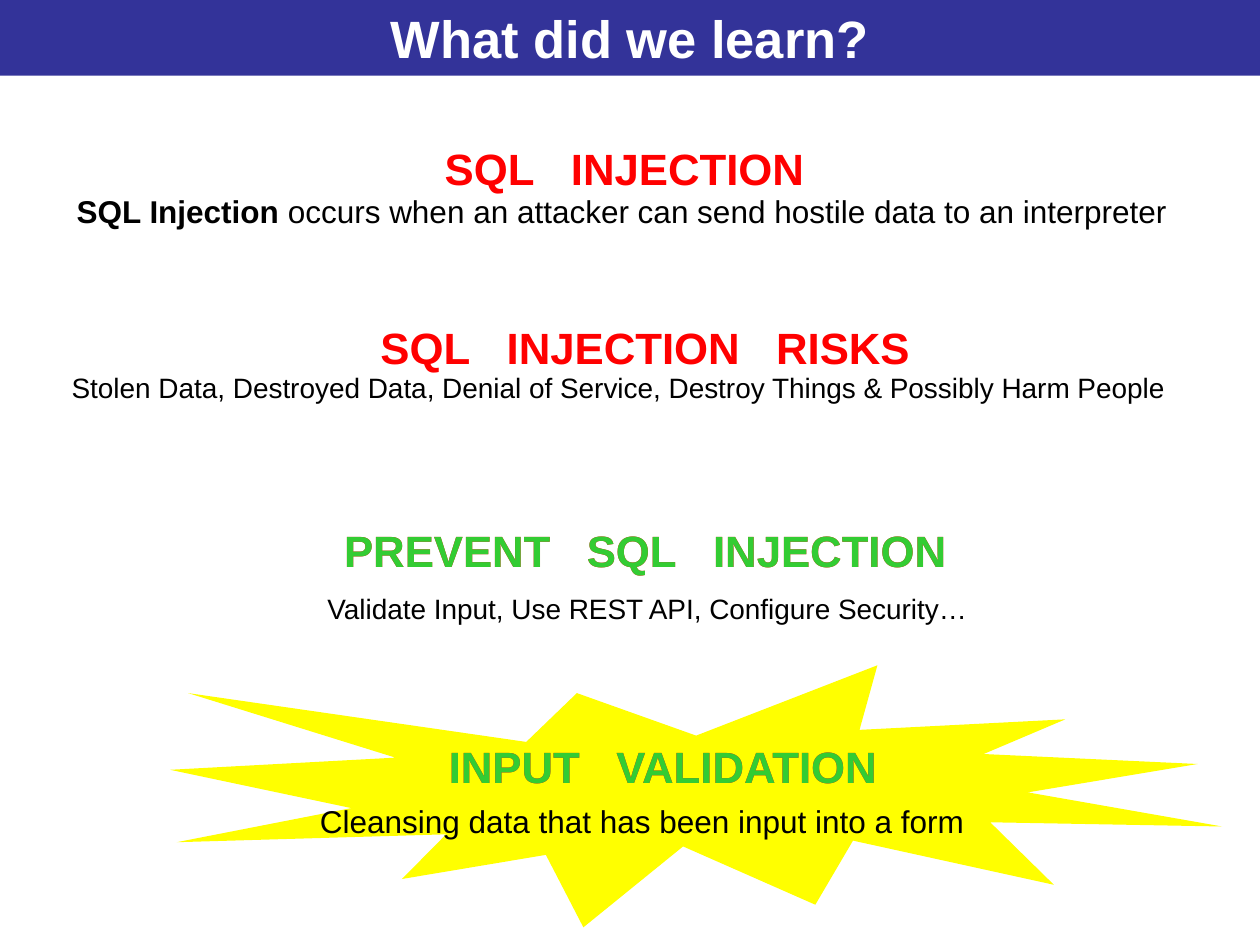
from pptx import Presentation
from pptx.dml.color import RGBColor
from pptx.enum.shapes import MSO_SHAPE
from pptx.enum.text import MSO_ANCHOR, MSO_AUTO_SIZE, PP_ALIGN
from pptx.util import Inches, Pt

BLACK = RGBColor(0x00, 0x00, 0x00)
WHITE = RGBColor(0xFF, 0xFF, 0xFF)
RED = RGBColor(0xFF, 0x00, 0x00)
GREEN = RGBColor(0x33, 0xCC, 0x33)
YELLOW = RGBColor(0xFF, 0xFF, 0x00)
NAVY = RGBColor(0x33, 0x33, 0x99)

HEADING_SIZE = 25
WORD_GAP = "1390"

deck = Presentation()
deck.slide_width = Inches(10)
deck.slide_height = Inches(7.5)
COLUMN = deck.slide_width / 100
ROW = deck.slide_height / 75
page = deck.slides.add_slide(deck.slide_layouts[6])


def place(left, top, width, height):
    return int(left * COLUMN), int(top * ROW), int(width * COLUMN), int(height * ROW)


def style(para, size, color, bold, align):
    para.alignment = align
    para.font.name = "Arial"
    para.font.size = Pt(size)
    para.font.bold = bold
    para.font.color.rgb = color


burst = page.shapes.add_shape(MSO_SHAPE.EXPLOSION1, *place(13.5, 52.8, 83.5, 20.8))
banner = page.shapes.add_shape(MSO_SHAPE.RECTANGLE, *place(0, 0, 100, 6))
for shape, color in ((burst, YELLOW), (banner, NAVY)):
    shape.shadow.inherit = False
    shape.fill.solid()
    shape.fill.fore_color.rgb = color
    shape.line.fill.background()

banner.text_frame.vertical_anchor = MSO_ANCHOR.TOP
title = banner.text_frame.paragraphs[0]
title.text = "What did we learn?"
style(title, 30, WHITE, True, PP_ALIGN.CENTER)

details = [
    (5.1, 14.75, 88.5, 18, "SQL Injection", " occurs when an attacker can send hostile data to an interpreter"),
    (4.7, 28.9, 88.8, 16, "", "Stolen Data, Destroyed Data, Denial of Service, Destroy Things & Possibly Harm People"),
    (25, 46.45, 53.1, 16, "", "Validate Input, Use REST API, Configure Security…"),
    (24.4, 63.15, 53.6, 18, "", "Cleansing data that has been input into a form"),
]
for left, top, width, size, term, words in details:
    box = page.shapes.add_textbox(*place(left, top, width, 4 if size == 18 else 3.7))
    box.text_frame.word_wrap = False
    box.text_frame.auto_size = MSO_AUTO_SIZE.SHAPE_TO_FIT_TEXT
    para = box.text_frame.paragraphs[0]
    if term:
        span = para.add_run()
        span.text = term
        span.font.bold = True
    para.add_run().text = words
    style(para, size, BLACK, False, PP_ALIGN.LEFT)

headings = [
    (34.3, 10.75, 30.5, "SQL INJECTION", [RED]),
    (29.2, 24.95, 44, "SQL INJECTION RISKS", [RED]),
    (26, 41.1, 50.4, "PREVENT SQL INJECTION", [RED, GREEN]),
    (34.4, 58.2, 36.4, "INPUT VALIDATION", [RED, GREEN]),
]
for left, top, width, words, layers in headings:
    for color in layers:
        box = page.shapes.add_textbox(*place(left, top, width, 5.2))
        box.text_frame.word_wrap = False
        box.text_frame.auto_size = MSO_AUTO_SIZE.SHAPE_TO_FIT_TEXT
        para = box.text_frame.paragraphs[0]
        for index, word in enumerate(words.split()):
            if index:
                gap = para.add_run()
                gap.text = " "
                gap._r.get_or_add_rPr().set("spc", WORD_GAP)
            para.add_run().text = word
        style(para, HEADING_SIZE, color, True, PP_ALIGN.CENTER)

deck.save("out.pptx")
